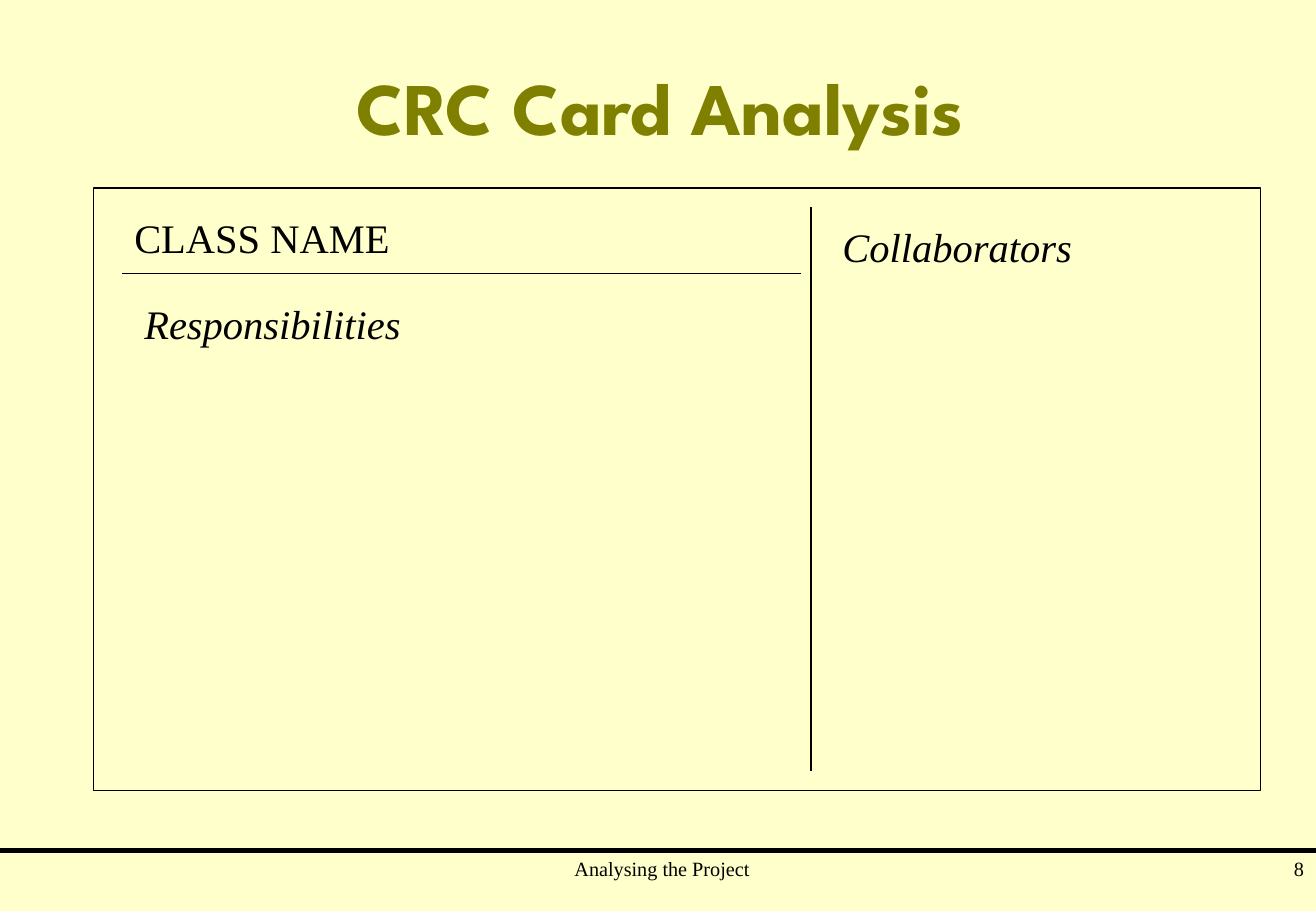
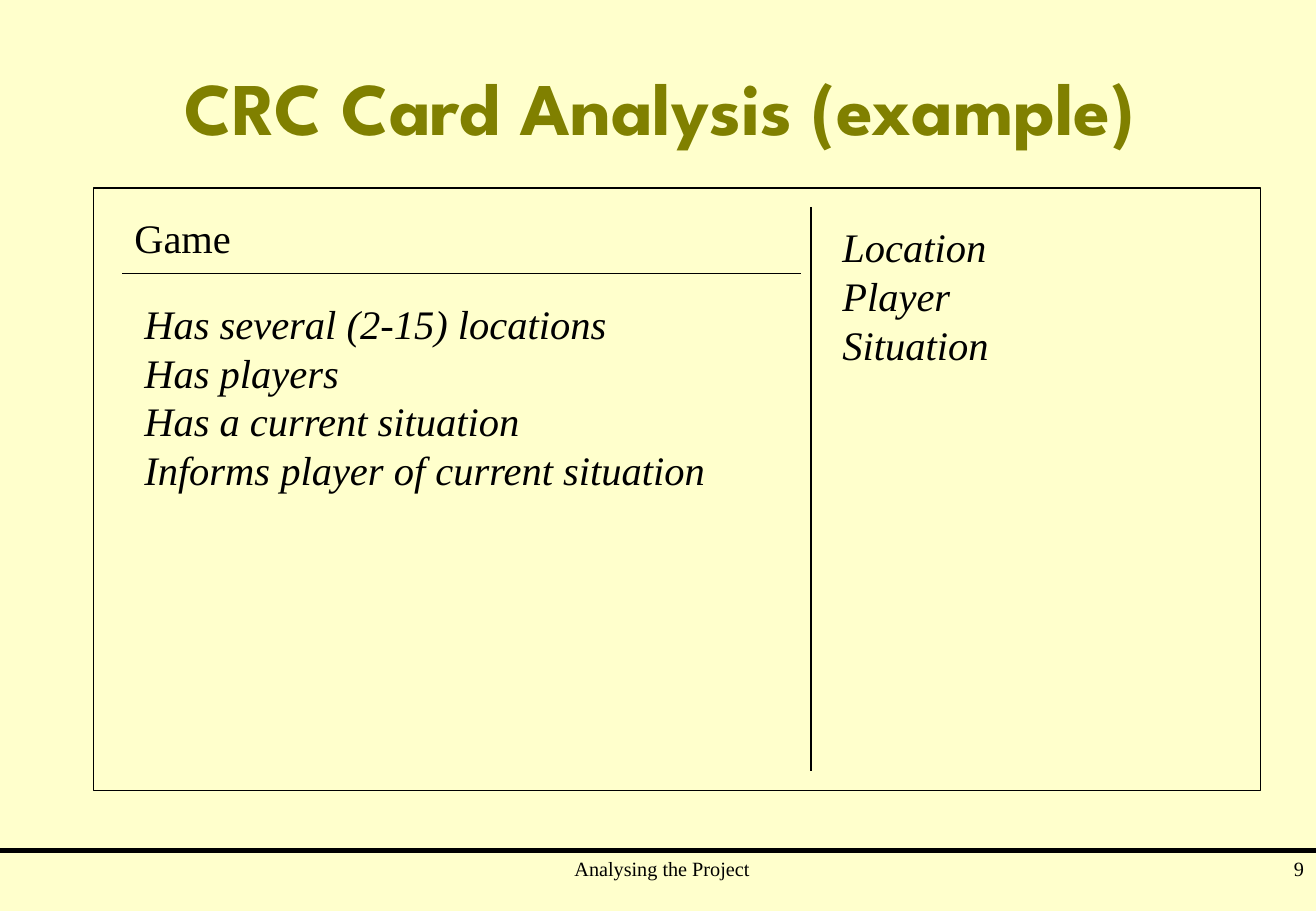
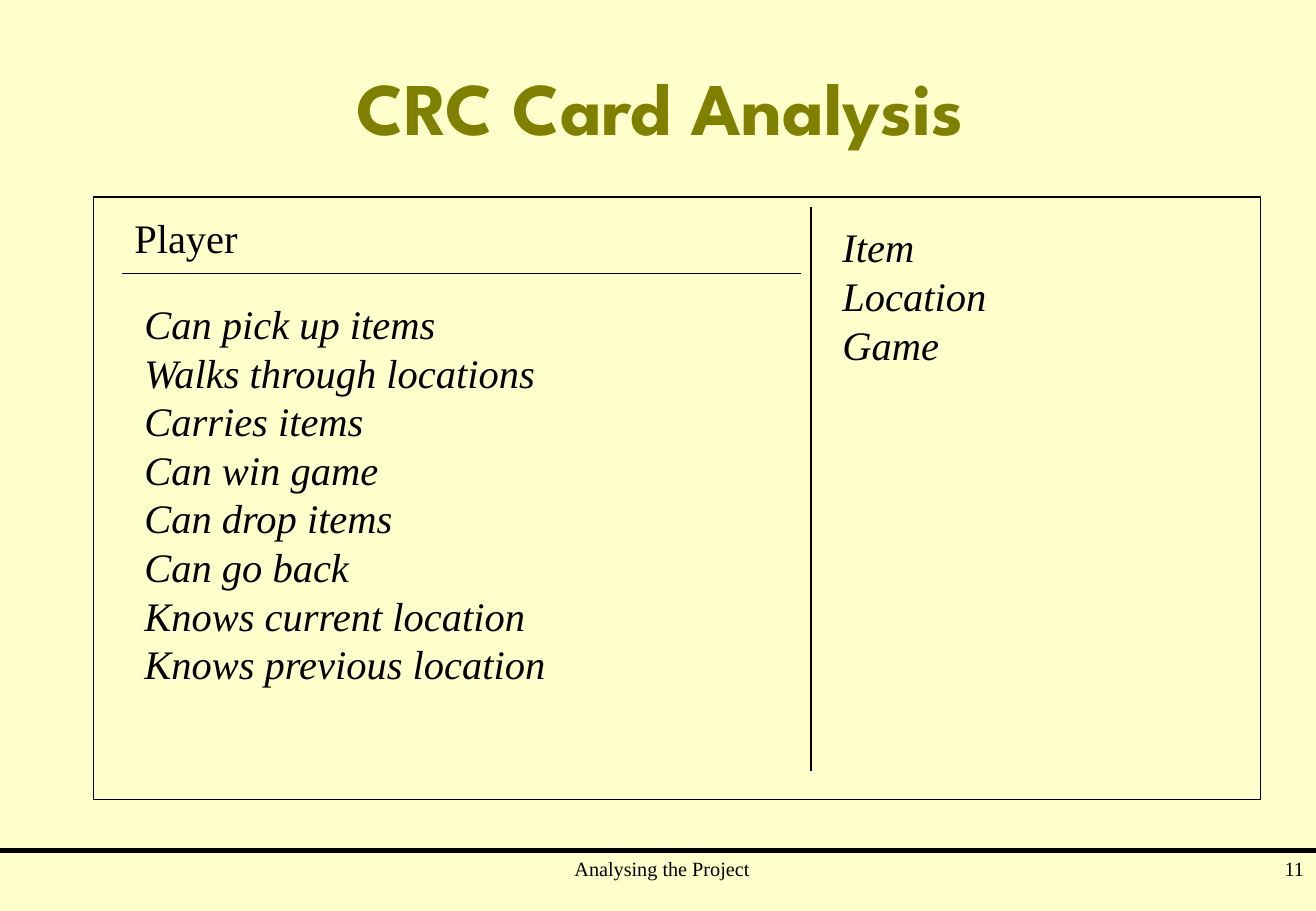
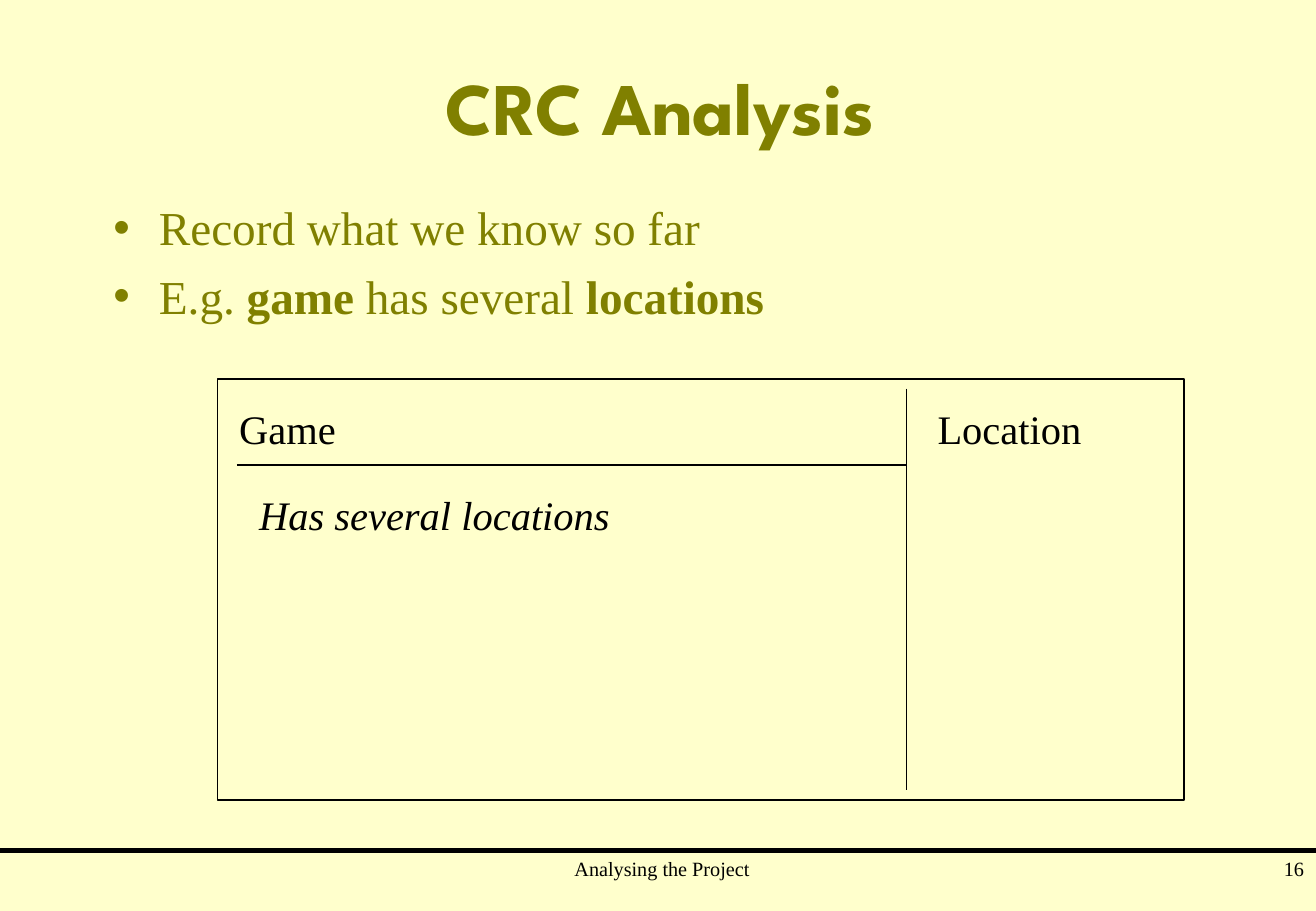
from dataclasses import dataclass

from lxml import etree
from pptx import Presentation
from pptx.dml.color import RGBColor
from pptx.enum.shapes import MSO_CONNECTOR, MSO_SHAPE
from pptx.enum.text import MSO_ANCHOR, PP_ALIGN
from pptx.oxml.ns import qn
from pptx.util import Pt

COLORS = {"paper": "FFFFCC", "ink": "000000", "olive": "808000"}
TITLE_FONT = "League Spartan"
TEXT_FONT = "Times New Roman"
SLIDE_WIDTH, SLIDE_HEIGHT = 780.13, 540
FOOTER_TOP = 504
TITLE_AND_CONTENT, TITLE_ONLY = 1, 5


@dataclass
class CardLayout:
    """Places of a card's frame and its two dividing lines, in points."""
    left: float
    top: float
    width: float
    height: float
    rule_left: float
    rule_right: float
    rule_y: float
    divider_x: float
    divider_top: float
    divider_bottom: float
    name_left: float


LARGE_CARD = dict(left=55.5, width=692, height=357, rule_left=72.5,
                  rule_right=475, rule_y=162.2, divider_x=480.8,
                  divider_top=122.6, divider_bottom=457, name_left=72.5)
HIGH_CARD = CardLayout(top=111.5, **LARGE_CARD)
LOW_CARD = CardLayout(top=116.8, **LARGE_CARD)
SMALL_CARD = CardLayout(left=129, top=224.6, width=573, height=249.6,
                        rule_left=140.5, rule_right=537.2, rule_y=275.6,
                        divider_x=537.2, divider_top=230.4,
                        divider_bottom=468.5, name_left=134.7)


def color(name):
    return RGBColor.from_string(COLORS[name])


def place(shape, left, top, width, height):
    shape.left, shape.top = Pt(left), Pt(top)
    shape.width, shape.height = Pt(width), Pt(height)


def indent(paragraph, left, first=0):
    properties = paragraph._p.get_or_add_pPr()
    properties.set("marL", str(Pt(left)))
    properties.set("indent", str(Pt(first)))
    return properties


def write(frame, lines, *, size=24, font=TEXT_FONT, ink="ink", bold=False,
          italic=False, align=PP_ALIGN.LEFT, anchor=MSO_ANCHOR.TOP,
          space_before=0, left_indent=0):
    """Fill a text frame; a line is a string or a list of (text, bold) runs."""
    frame.word_wrap = True
    frame.vertical_anchor = anchor
    for index, line in enumerate(lines):
        paragraph = frame.add_paragraph() if index else frame.paragraphs[0]
        paragraph.alignment = align
        paragraph.space_before = Pt(space_before)
        indent(paragraph, left_indent)
        for text, strong in [(line, bold)] if isinstance(line, str) else line:
            run = paragraph.add_run()
            run.text = text
            run.font.name = font
            run.font.size = Pt(size)
            run.font.bold = strong
            run.font.italic = italic
            run.font.color.rgb = color(ink)


def add_text(slide, left, top, width, lines, **style):
    height = 7.2 + 28.8 * len(lines)
    box = slide.shapes.add_textbox(Pt(left), Pt(top), Pt(width), Pt(height))
    write(box.text_frame, lines, **style)


def add_line(slide, x1, y1, x2, y2, weight=0.75):
    line = slide.shapes.add_connector(
        MSO_CONNECTOR.STRAIGHT, Pt(x1), Pt(y1), Pt(x2), Pt(y2))
    line.line.color.rgb = color("ink")
    line.line.width = Pt(weight)
    etree.SubElement(line._element.spPr, qn("a:effectLst"))


def add_slide(prs, title, number, layout=TITLE_ONLY):
    slide = prs.slides.add_slide(prs.slide_layouts[layout])
    place(slide.shapes.title, 60, 18, 663, 90)
    write(slide.shapes.title.text_frame, [title], size=44, font=TITLE_FONT,
          ink="olive", bold=True, align=PP_ALIGN.CENTER,
          anchor=MSO_ANCHOR.MIDDLE)
    add_line(slide, 0, FOOTER_TOP, SLIDE_WIDTH, FOOTER_TOP, weight=3)
    add_text(slide, 234, FOOTER_TOP, 300, ["Analysing the Project"],
             size=12, align=PP_ALIGN.CENTER, left_indent=17)
    add_text(slide, 618, FOOTER_TOP, SLIDE_WIDTH - 618, [str(number)],
             size=12, align=PP_ALIGN.RIGHT, left_indent=17)
    return slide


def add_bullets(slide, lines):
    body = slide.placeholders[1]
    place(body, 60, 114, 663, 93.5)
    write(body.text_frame, lines, size=28, ink="olive", space_before=7)
    for paragraph in body.text_frame.paragraphs:
        properties = indent(paragraph, 27, -27)
        bullet_color = etree.SubElement(properties, qn("a:buClr"))
        etree.SubElement(bullet_color, qn("a:srgbClr"), val=COLORS["olive"])
        etree.SubElement(properties, qn("a:buChar"), char="•")


def add_card(slide, card, name, responsibilities, collaborators,
             italic_collaborators=True):
    frame = slide.shapes.add_shape(
        MSO_SHAPE.RECTANGLE, Pt(card.left), Pt(card.top),
        Pt(card.width), Pt(card.height))
    frame.shadow.inherit = False
    frame.fill.solid()
    frame.fill.fore_color.rgb = color("paper")
    frame.line.color.rgb = color("ink")
    frame.line.width = Pt(0.75)

    add_line(slide, card.divider_x, card.divider_top,
             card.divider_x, card.divider_bottom)
    add_line(slide, card.rule_left, card.rule_y, card.rule_right, card.rule_y)

    duties_left = card.rule_left + 6
    partners_left = card.divider_x + 11.5
    add_text(slide, card.name_left, card.rule_y - 39.5,
             card.rule_right - card.name_left, [name])
    add_text(slide, duties_left, card.rule_y + 11.5,
             card.rule_right - duties_left, responsibilities, italic=True)
    add_text(slide, partners_left, card.divider_top + 5.7,
             card.left + card.width - partners_left, collaborators,
             italic=italic_collaborators)


def main():
    prs = Presentation()
    prs.slide_width, prs.slide_height = Pt(SLIDE_WIDTH), Pt(SLIDE_HEIGHT)
    background = prs.slide_master.background.fill
    background.solid()
    background.fore_color.rgb = color("paper")

    add_card(add_slide(prs, "CRC Card Analysis", 8), HIGH_CARD,
             "CLASS NAME", ["Responsibilities"], ["Collaborators"])
    add_card(add_slide(prs, "CRC Card Analysis (example)", 9), HIGH_CARD,
             "Game",
             ["Has several (2-15) locations", "Has players",
              "Has a current situation",
              "Informs player of current situation"],
             ["Location", "Player", "Situation"])
    add_card(add_slide(prs, "CRC Card Analysis", 11), LOW_CARD,
             "Player",
             ["Can pick up items", "Walks through locations",
              "Carries items", "Can win game", "Can drop items",
              "Can go back", "Knows current location",
              "Knows previous location"],
             ["Item", "Location", "Game"])

    record = add_slide(prs, "CRC Analysis", 16, TITLE_AND_CONTENT)
    add_bullets(record, [
        "Record what we know so far",
        [("E.g. ", False), ("game", True), (" has several ", False),
         ("locations", True)]])
    add_card(record, SMALL_CARD, "Game", ["Has several locations"],
             ["Location"], italic_collaborators=False)

    prs.save("out.pptx")


if __name__ == "__main__":
    main()
